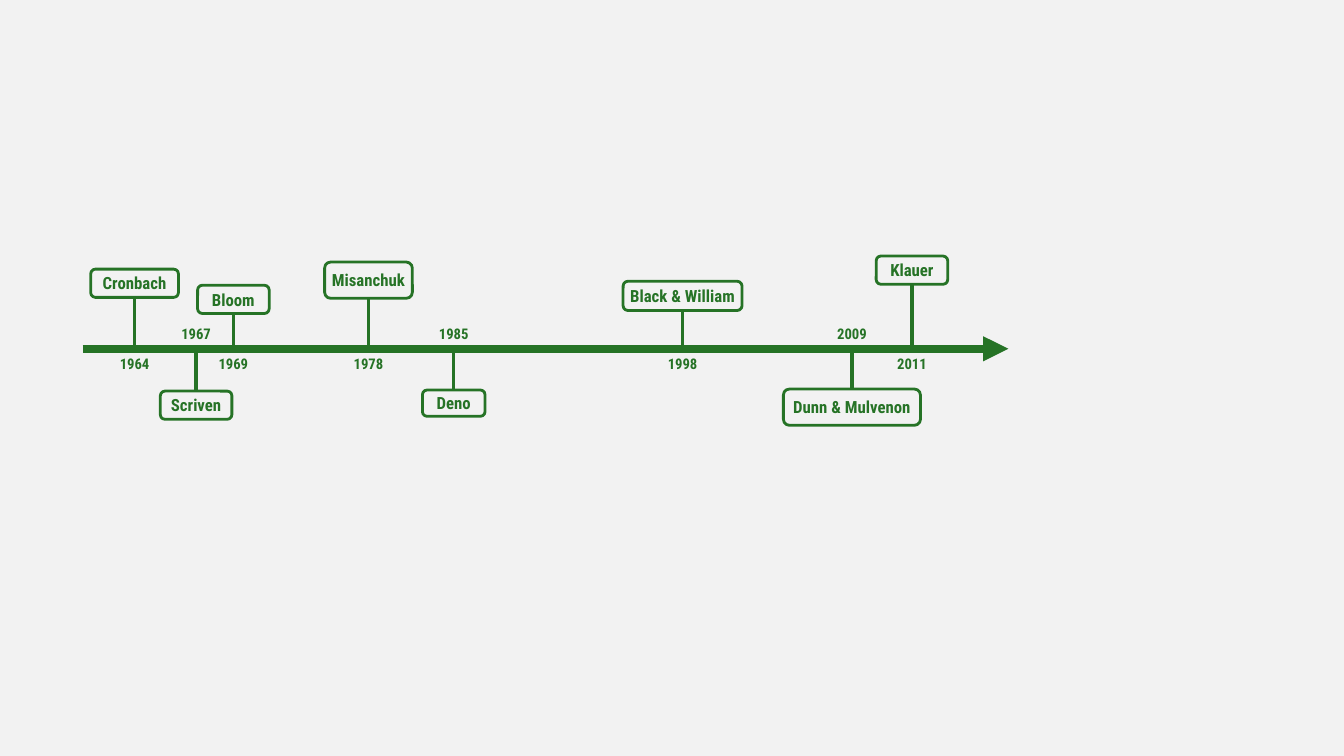
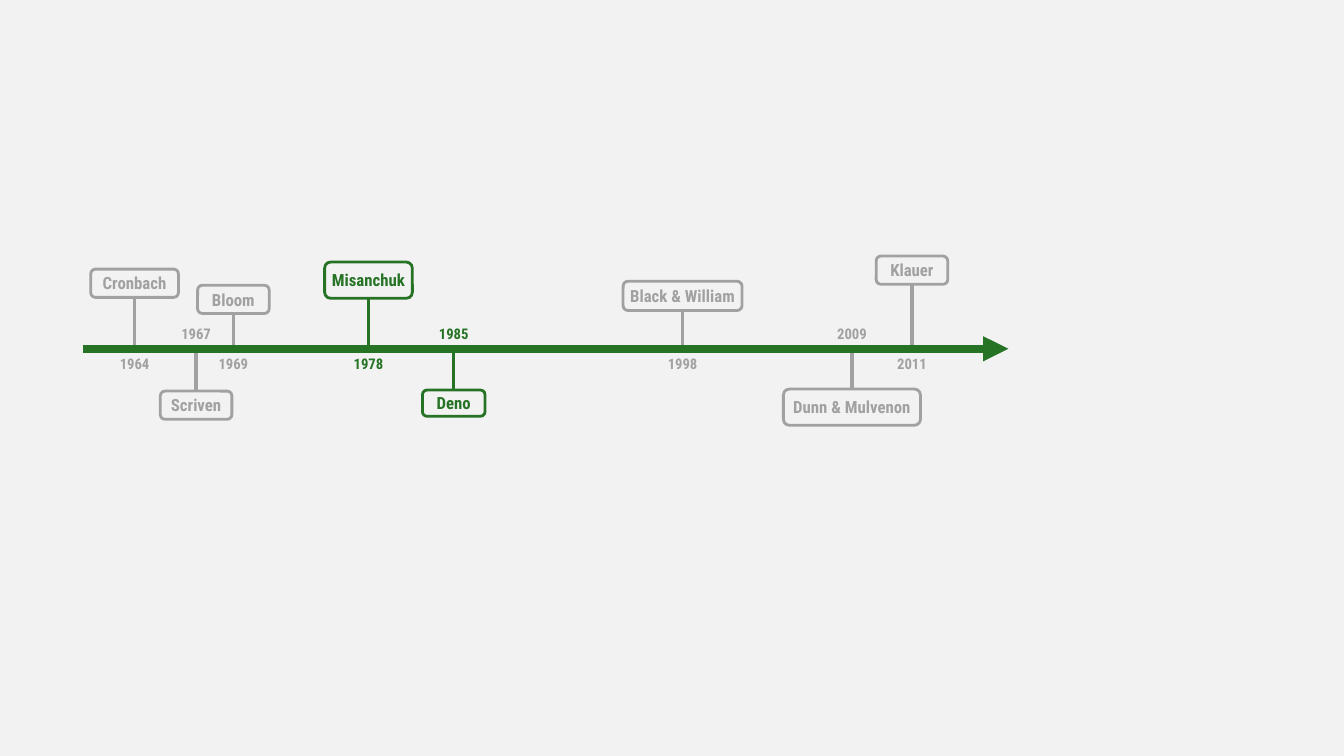
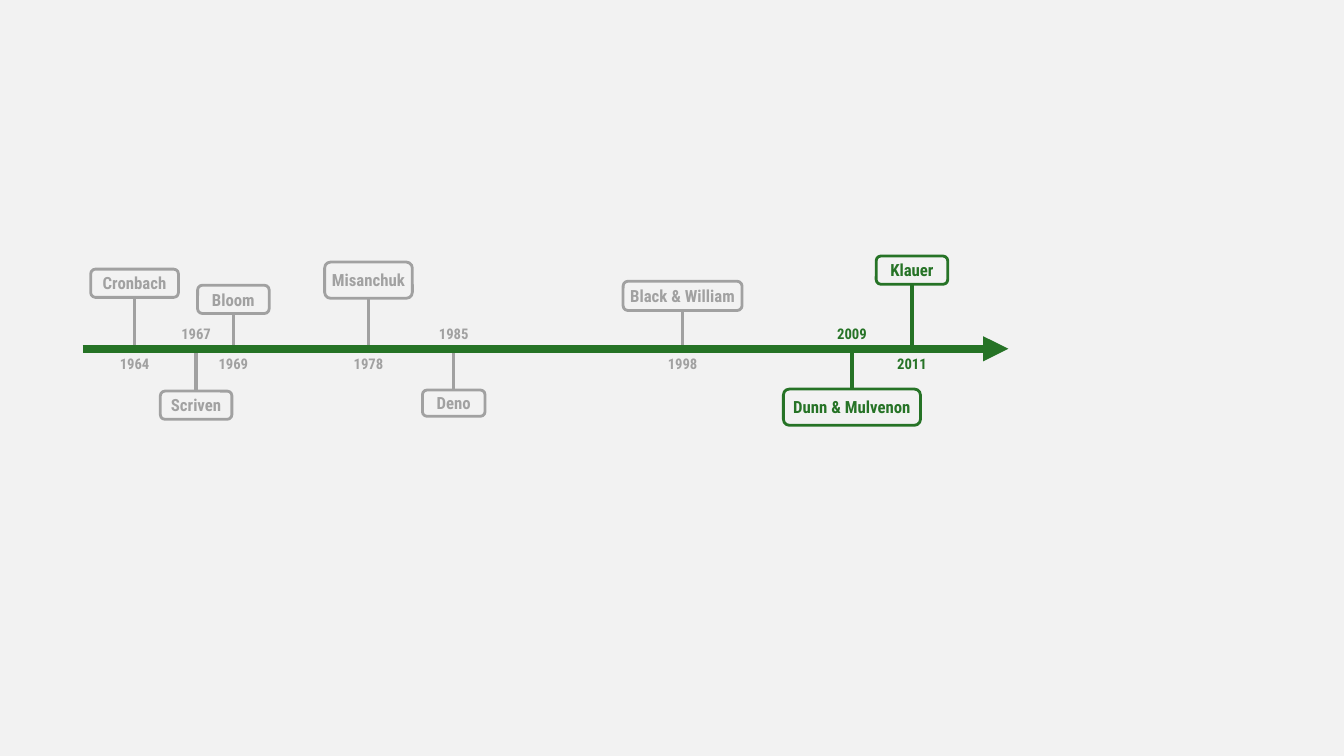
"""Build three timeline slides, each highlighting different authors."""
import pptx
import pptx.dml.color
import pptx.enum.shapes
import pptx.enum.text
import pptx.oxml
import pptx.oxml.ns
import pptx.util

Inches = pptx.util.Inches
Pt = pptx.util.Pt
COLORS = {"background": "F2F2F2", "active": "267326", "muted": "A1A1A1"}
FONT = "Roboto Condensed"
AXIS = {"left": 0.82, "right": 10, "y": 3.46}
YEAR = {"width": 0.57, "height": 0.18, "above": 3.22, "below": 3.52}
WEIGHTS = {"axis": 6, "stem": 2.5, "box": 2}
SIZES = {"author": 12, "year": 10.5}

EVENTS = [
    ("1964", "Cronbach", 0.9, 2.67, 0.87, 0.28),
    ("1967", "Scriven", 1.59, 3.88, 0.71, 0.28),
    ("1969", "Bloom", 1.96, 2.83, 0.71, 0.28),
    ("1978", "Misanchuk", 3.22, 2.6, 0.87, 0.36),
    ("1985", "Deno", 4.19, 3.87, 0.62, 0.26),
    ("1998", "Black & William", 6.18, 2.79, 1.18, 0.29),
    ("2009", "Dunn & Mulvenon", 7.77, 3.86, 1.36, 0.36),
    ("2011", "Klauer", 8.69, 2.54, 0.71, 0.28),
]
HIGHLIGHTS = [
    {year for year, *_ in EVENTS},
    {"1978", "1985"},
    {"2009", "2011"},
]


def rgb(name):
    return pptx.dml.color.RGBColor.from_string(COLORS[name])


def set_line(sp, color, weight):
    sp.line.color.rgb = rgb(color)
    sp.line.width = Pt(WEIGHTS[weight])


def add_line(slide, x1, y1, x2, y2, color, weight):
    kind = pptx.enum.shapes.MSO_CONNECTOR.STRAIGHT
    sp = slide.shapes.add_connector(kind, *map(Inches, (x1, y1, x2, y2)))
    set_line(sp, color, weight)
    sp._element.spPr.append(pptx.oxml.parse_xml(
        f"<a:effectLst {pptx.oxml.ns.nsdecls('a')}/>"))
    return sp


def write(sp, text, color, size, anchor):
    tf = sp.text_frame
    frame_format = {
        "margin_left": 0, "margin_right": 0, "margin_top": 0, "margin_bottom": 0,
        "word_wrap": True, "vertical_anchor": anchor,
    }
    for key, value in frame_format.items():
        setattr(tf, key, value)
    p = tf.paragraphs[0]
    p.alignment = pptx.enum.text.PP_ALIGN.CENTER
    r = p.add_run()
    r.text = text
    for key, value in {"name": FONT, "size": Pt(SIZES[size]), "bold": True}.items():
        setattr(r.font, key, value)
    r.font.color.rgb = rgb(color)


def add_event(slide, event, color):
    year, author, left, top, width, height = event
    center = left + width / 2
    is_above = top < AXIS["y"]
    box_edge = top + height if is_above else top
    add_line(slide, center, AXIS["y"], center, box_edge, color, "stem")

    year_top = YEAR["below" if is_above else "above"]
    label = slide.shapes.add_textbox(
        *map(Inches, (center - YEAR["width"] / 2, year_top, YEAR["width"], YEAR["height"])))
    write(label, year, color, "year", pptx.enum.text.MSO_ANCHOR.TOP)
    label.text_frame.auto_size = pptx.enum.text.MSO_AUTO_SIZE.SHAPE_TO_FIT_TEXT

    box = slide.shapes.add_shape(
        pptx.enum.shapes.MSO_SHAPE.ROUNDED_RECTANGLE,
        *map(Inches, (left, top, width, height)))
    box.shadow.inherit = False
    box.fill.background()
    set_line(box, color, "box")
    write(box, author, color, "author", pptx.enum.text.MSO_ANCHOR.MIDDLE)


def add_axis(slide):
    sp = add_line(slide, AXIS["left"], AXIS["y"], AXIS["right"], AXIS["y"], "active", "axis")
    sp.line._get_or_add_ln().append(pptx.oxml.parse_xml(
        f'<a:tailEnd {pptx.oxml.ns.nsdecls("a")} type="triangle"/>'))


def main():
    prs = pptx.Presentation()
    prs.slide_width, prs.slide_height = Inches(13.33), Inches(7.5)
    fill = prs.slide_master.background.fill
    fill.solid()
    fill.fore_color.rgb = rgb("background")
    blank = prs.slide_layouts.get_by_name("Blank")
    for active_years in HIGHLIGHTS:
        slide = prs.slides.add_slide(blank)
        for event in EVENTS:
            add_event(slide, event, "active" if event[0] in active_years else "muted")
        add_axis(slide)
    prs.save("out.pptx")


if __name__ == "__main__":
    main()
